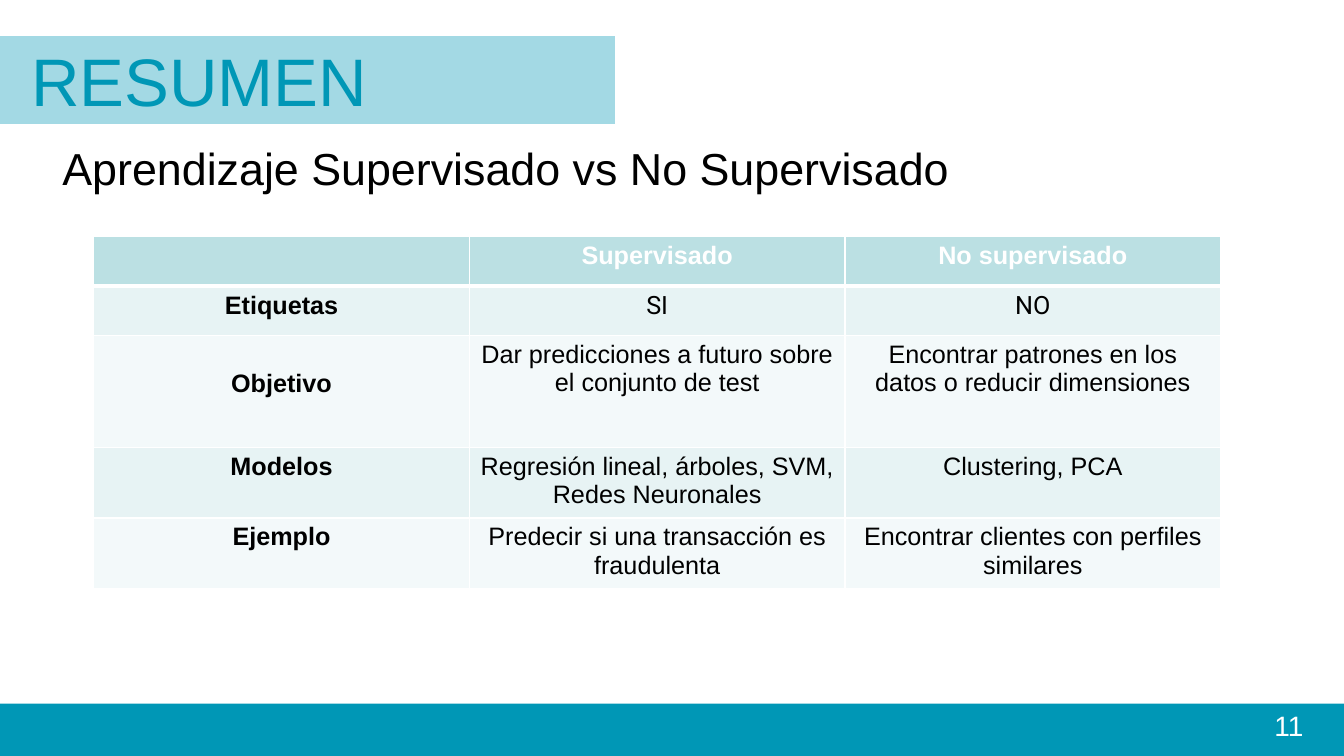
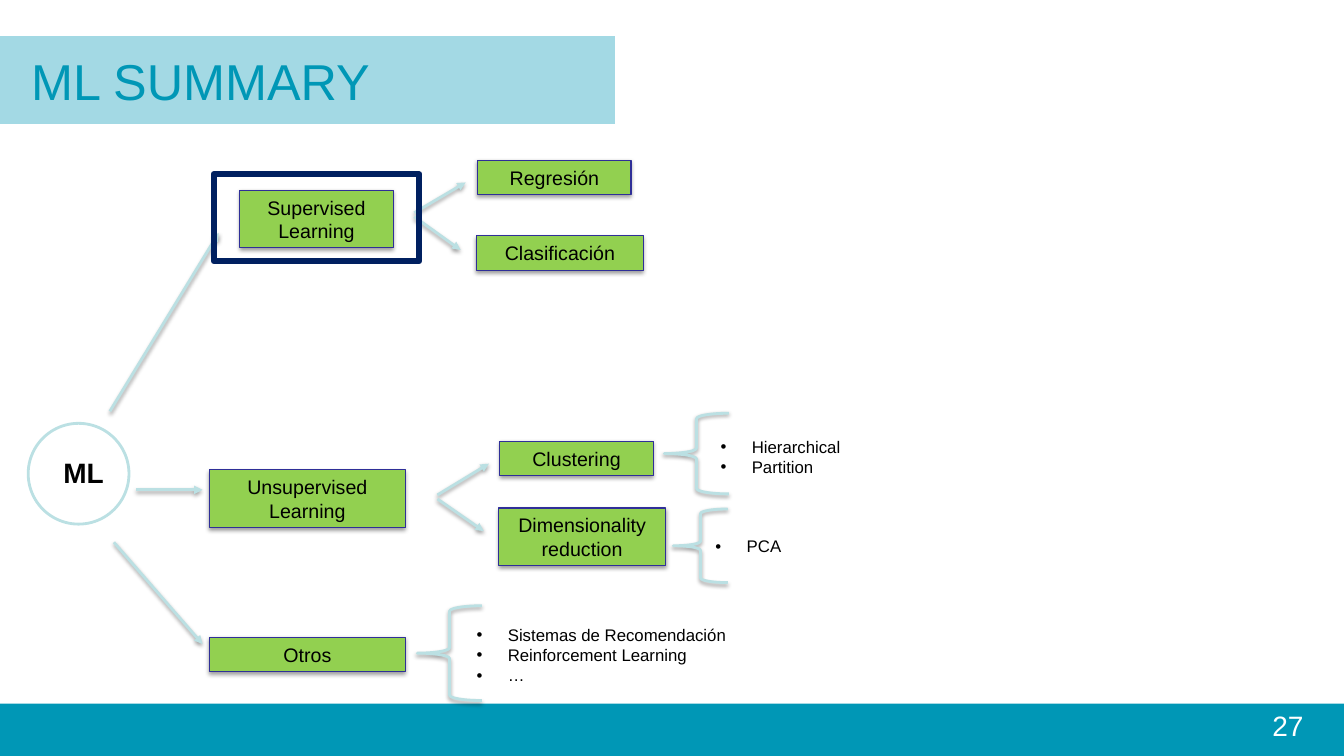
from dataclasses import dataclass

from lxml.etree import SubElement
from pptx import Presentation
from pptx.dml.color import RGBColor
from pptx.enum.shapes import MSO_CONNECTOR as Connector, MSO_SHAPE as Shape
from pptx.enum.text import MSO_ANCHOR as Anchor, PP_ALIGN as Align
from pptx.oxml.ns import qn
from pptx.util import Emu, Inches, Pt


@dataclass(frozen=True)
class Theme:
    font: str = "Arial"
    answer_font: str = "Roboto"
    teal: str = "0097B6"
    pale: str = "BBE0E3"
    bands: tuple = ("E7F3F4", "F3F9FA")
    green: str = "92D050"
    outline: str = "2F2F98"
    navy: str = "002060"
    black: str = "000000"
    white: str = "FFFFFF"
    subtitle: int = 32
    number: int = 20
    table: int = 18
    node: int = 14
    listing: int = 12


THEME = Theme()
COLUMNS, ROWS = 133.33, 75
CELL = Inches(7.5) / ROWS

COMPARISON = {
    "title": ("RESUMEN", 48),
    "number": "11",
    "subtitle": "Aprendizaje Supervisado vs No Supervisado",
    "rows": [
        ("", "Supervisado", "No supervisado"),
        ("Etiquetas", "SI", "NO"),
        ("Objetivo", "Dar predicciones a futuro sobre el conjunto de test",
         "Encontrar patrones en los datos o reducir dimensiones"),
        ("Modelos", "Regresión lineal, árboles, SVM, Redes Neuronales", "Clustering, PCA"),
        ("Ejemplo", "Predecir si una transacción es fraudulenta",
         "Encontrar clientes con perfiles similares"),
    ],
    "heights": (4.9, 4.9, 11.1, 7, 7),
}

SUMMARY = {
    "title": ("ML SUMMARY", 36),
    "number": "27",
    "root": "ML",
    "nodes": [
        ("Supervised Learning", 2, 23.8, 18.9, 15.2),
        ("Unsupervised Learning", 2, 20.8, 46.6, 19.4),
        ("Otros", 1, 20.8, 63.2, 19.4),
        ("Regresión", 1, 47.4, 15.9, 15.2),
        ("Clasificación", 1, 47.3, 23.4, 16.5),
        ("Clustering", 1, 49.6, 43.8, 15.2),
        ("Dimensionality reduction", 2, 49.5, 50.4, 16.5),
    ],
    "arrows": [
        (10.9, 40.8, 21.7, 23.1),
        (13.5, 48.6, 20.1, 48.6),
        (11.3, 53.8, 20.1, 63.9),
        (41.1, 21.1, 46.2, 18.1),
        (41.1, 21.5, 45.7, 24.8),
        (43.4, 49.1, 48.5, 46),
        (43.4, 49.5, 48, 52.7),
    ],
    "lists": [
        (("Hierarchical", "Partition"), (70.5, 42.8), (65.9, 41, 6.4, 8)),
        (("PCA",), (70, 52.7), (66.8, 50.5, 5.4, 7.3)),
        (("Sistemas de Recomendación", "Reinforcement Learning", "…"),
         (46.3, 61.5), (41.4, 60.1, 6.4, 9.4)),
    ],
    "frame": (21.2, 17.3, 20.4, 8.6),
}


def grid(*cells):
    return [Emu(round(cell * CELL)) for cell in cells]


def rgb(code):
    return RGBColor.from_string(code)


def write(frame, lines, size, color=THEME.black, align=Align.LEFT, bold=False, font=THEME.font):
    frame.word_wrap = True
    frame.text = "\n".join(lines)
    for paragraph in frame.paragraphs:
        paragraph.alignment = align
        for run in paragraph.runs:
            run.font.name, run.font.size, run.font.bold = font, Pt(size), bold
            run.font.color.rgb = rgb(color)


def textbox(slide, place, lines, size, **style):
    frame = slide.shapes.add_textbox(*grid(*place)).text_frame
    write(frame, lines, size, **style)
    return frame


def outline(line, color, width):
    line.color.rgb = rgb(color)
    line.width = Pt(width)


def preset(slide, kind, place, fill=None, line=None):
    shape = slide.shapes.add_shape(kind, *grid(*place))
    if fill:
        shape.fill.solid()
        shape.fill.fore_color.rgb = rgb(fill)
    else:
        shape.fill.background()
    if line:
        outline(shape.line, *line)
    else:
        shape.line.fill.background()
    shape.shadow.inherit = False
    return shape


def set_alpha(color, percent):
    SubElement(color, qn("a:alpha"), val=str(percent * 1000))


def cast_shadow(shape):
    properties = shape._element.spPr
    effects = properties.find(qn("a:effectLst"))
    if effects is None:
        effects = SubElement(properties, qn("a:effectLst"))
    shadow = SubElement(effects, qn("a:outerShdw"), blurRad=str(Pt(3.1)),
                        dist=str(Pt(1.6)), dir="5400000", rotWithShape="0")
    set_alpha(SubElement(shadow, qn("a:srgbClr"), val=THEME.black), 38)


def draw_arrow(slide, ends):
    arrow = slide.shapes.add_connector(Connector.STRAIGHT, *grid(*ends))
    outline(arrow.line, THEME.pale, 2)
    SubElement(arrow.line._ln, qn("a:tailEnd"), type="triangle")
    cast_shadow(arrow)


def draw_list(slide, items, corner, brace):
    frame = textbox(slide, (*corner, 32.4, 1 + 2 * len(items)), items, THEME.listing)
    for paragraph in frame.paragraphs:
        properties = paragraph._p.get_or_add_pPr()
        properties.set("marL", str(Inches(0.31)))
        properties.set("indent", str(-Inches(0.31)))
        SubElement(properties, qn("a:buFont"), typeface=THEME.font)
        SubElement(properties, qn("a:buChar"), char="•")
    cast_shadow(preset(slide, Shape.LEFT_BRACE, brace, line=(THEME.pale, 2)))


def border(cell, **widths):
    properties = cell._tc.get_or_add_tcPr()
    for side in "LRTB":
        edge = SubElement(properties, qn(f"a:ln{side}"), w=str(Pt(widths.get(side, 1))))
        SubElement(SubElement(edge, qn("a:solidFill")), qn("a:srgbClr"), val=THEME.white)


def start_slide(deck, content):
    slide = deck.slides.add_slide(deck.slide_layouts[6])
    preset(slide, Shape.RECTANGLE, (0, 69.8, COLUMNS, 5.2), THEME.teal)
    band = preset(slide, Shape.RECTANGLE, (0, 3.6, 61, 8.7), THEME.teal)
    set_alpha(band._element.spPr.find(qn("a:solidFill"))[0], 36)
    textbox(slide, (107, 69.8, 23.3, 5.2), [content["number"]], THEME.number,
            color=THEME.white, align=Align.RIGHT)
    title, size = content["title"]
    textbox(slide, (2.1, 4.8, 58.2, 6.3), [title], size,
            color=THEME.teal).vertical_anchor = Anchor.MIDDLE
    return slide


def build_comparison(deck):
    content = COMPARISON
    slide = start_slide(deck, content)
    subtitle = textbox(slide, (5.2, 13.5, 111.8, 5.1), [content["subtitle"]], THEME.subtitle)
    subtitle.paragraphs[0].space_before = Pt(6.4)
    rows, heights = content["rows"], content["heights"]
    place = grid(9.3, 23.5, 111.8, sum(heights))
    table = slide.shapes.add_table(len(rows), len(rows[0]), *place).table
    table.first_row = table.horz_banding = False
    for row, height in zip(table.rows, grid(*heights)):
        row.height = height
    for r, row in enumerate(rows):
        for c, words in enumerate(row):
            cell = table.cell(r, c)
            border(cell, T=3 if r == 1 else 1, B=3 if r == 0 else 1)
            cell.fill.solid()
            cell.fill.fore_color.rgb = rgb(THEME.bands[(r - 1) % 2] if r else THEME.pale)
            write(cell.text_frame, [words], THEME.table, align=Align.CENTER,
                  color=THEME.black if r else THEME.white, bold=r == 0 or c == 0,
                  font=THEME.answer_font if words in ("SI", "NO") else THEME.font)
            if words == "Objetivo":
                cell.margin_top = Inches(0.34)


def build_summary(deck):
    content = SUMMARY
    slide = start_slide(deck, content)
    preset(slide, Shape.OVAL, (2.8, 42, 10, 10), THEME.white, (THEME.pale, 2))
    textbox(slide, (5.3, 44.7, 6.5, 4.4), [content["root"]], 20, bold=True)
    for label, lines, left, top, width in content["nodes"]:
        node = preset(slide, Shape.RECTANGLE, (left, top, width, 1.1 + 2.3 * lines),
                      THEME.green, (THEME.outline, 0.75))
        cast_shadow(node)
        write(node.text_frame, [label], THEME.node, align=Align.CENTER)
    for ends in content["arrows"]:
        draw_arrow(slide, ends)
    for listing in content["lists"]:
        draw_list(slide, *listing)
    preset(slide, Shape.RECTANGLE, content["frame"], line=(THEME.navy, 4.5))


def main():
    deck = Presentation()
    deck.slide_width, deck.slide_height = grid(COLUMNS, ROWS)
    build_comparison(deck)
    build_summary(deck)
    deck.save("out.pptx")


if __name__ == "__main__":
    main()
